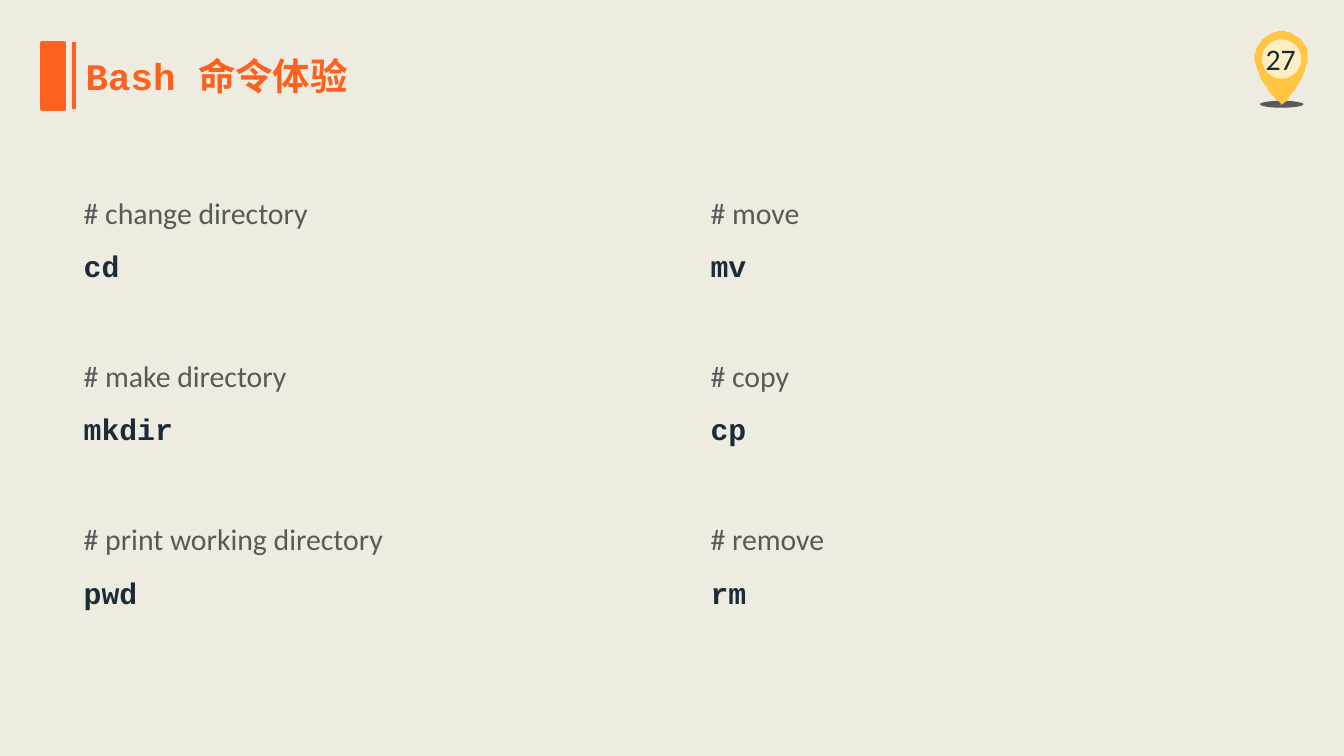
from dataclasses import dataclass
from typing import Any, NamedTuple

from lxml.etree import SubElement
from pptx import Presentation
from pptx.dml.color import RGBColor
from pptx.enum.shapes import MSO_CONNECTOR, MSO_SHAPE
from pptx.enum.text import MSO_ANCHOR, MSO_AUTO_SIZE, PP_ALIGN
from pptx.oxml.ns import qn
from pptx.util import Pt


@dataclass(frozen=True)
class Theme:
    background: str = "EEECE1"
    accent: str = "FC611F"
    comment: str = "595959"
    command: str = "1C2B38"
    number: str = "152C34"
    pin: str = "FFC543"
    pin_shadow: str = "595959"
    pin_hole: str = "FFFFFF"
    sans: str = "Calibri"
    mono: str = "Courier New"
    title_size: float = 26.7
    body_size: float = 21.3


class Box(NamedTuple):
    left: float
    top: float
    width: float
    height: float


class Command(NamedTuple):
    comment: str
    name: str


@dataclass(frozen=True)
class Column:
    box: Box
    commands: tuple[Command, ...]


THEME = Theme()
COLUMNS = (
    Column(Box(52.6, 122.4, 416, 317.5), (
        Command("# change directory", "cd"),
        Command("# make directory", "mkdir"),
        Command("# print working directory", "pwd"),
    )),
    Column(Box(500.4, 122.4, 416, 317.5), (
        Command("# move", "mv"),
        Command("# copy", "cp"),
        Command("# remove", "rm"),
    )),
)
GROUP_GAP = 40

PIN_START = (934.5, 41)
PIN_CURVES = (
    ((934.5, 30.7), (925.9, 22.3), (915.4, 22.3)),
    ((905, 22.3), (896.4, 30.7), (896.4, 41)),
    ((896.4, 41.8), (896.4, 42.5), (896.4, 43.2)),
    ((897.8, 58.3), (915.4, 74.9), (915.4, 74.9)),
    ((927.4, 63.4), (931.7, 52.6), (933.1, 46.8)),
    ((933.8, 45.4), (934.5, 43), (934.5, 41)),
)


def set_attrs(obj: Any, values: dict[str, Any]) -> None:
    for name, value in values.items():
        setattr(obj, name, value)


def place(sp: Any, box: Box) -> None:
    set_attrs(sp, {name: Pt(value) for name, value in box._asdict().items()})


def add_run(p: Any, text: str, font: str, size: float, color: str, bold: bool = False) -> None:
    r = p.add_run()
    r.text = text
    set_attrs(r.font, {"name": font, "size": Pt(size), "bold": bold})
    r.font.color.rgb = RGBColor.from_string(color)


def paint(sp: Any, fill: str, line_width: float = 0) -> None:
    """Fill a shape flat, with an outline of the same colour if it has a width."""
    sp.shadow.inherit = False
    sp.fill.solid()
    sp.fill.fore_color.rgb = RGBColor.from_string(fill)
    if line_width:
        sp.line.color.rgb = RGBColor.from_string(fill)
        sp.line.width = Pt(line_width)
    else:
        sp.line.fill.background()


def add_shape(s: Any, kind: MSO_SHAPE, box: Box, fill: str, line_width: float = 0) -> Any:
    sp = s.shapes.add_shape(kind, *map(Pt, box))
    paint(sp, fill, line_width)
    return sp


def curve_points(start: tuple, curves: tuple, steps: int = 16) -> list[tuple]:
    """Sample a chain of cubic Bezier curves."""
    points = []
    for curve in curves:
        for i in range(1, steps + 1):
            t = i / steps
            weights = ((1 - t) ** 3, 3 * t * (1 - t) ** 2, 3 * t * t * (1 - t), t ** 3)
            points.append(tuple(
                sum(w * c for w, c in zip(weights, axis)) for axis in zip(start, *curve)
            ))
        start = curve[-1]
    return points


def add_page_pin(s: Any, number: str) -> None:
    add_shape(s, MSO_SHAPE.OVAL, Box(900, 72, 31, 5), THEME.pin_shadow)

    builder = s.shapes.build_freeform(*PIN_START, scale=Pt(1))
    builder.add_line_segments(curve_points(PIN_START, PIN_CURVES), close=True)
    paint(builder.convert_to_shape(), THEME.pin)

    hole = add_shape(s, MSO_SHAPE.OVAL, Box(901.4, 28.1, 28.1, 28.1), THEME.pin_hole)
    color = hole.fill._xPr.find(qn("a:solidFill"))[0]
    SubElement(color, qn("a:alpha"), val="69000")

    tf = s.shapes.add_textbox(*map(Pt, Box(802.8, 27.4, 223.9, 28.8))).text_frame
    set_attrs(tf, {"word_wrap": True, "vertical_anchor": MSO_ANCHOR.MIDDLE})
    p = tf.paragraphs[0]
    p.alignment = PP_ALIGN.CENTER
    add_run(p, number, THEME.sans, THEME.body_size, THEME.number)


def add_title(s: Any, text: str) -> None:
    add_shape(s, MSO_SHAPE.RECTANGLE, Box(29.5, 30.2, 16.6, 48.2), THEME.accent, 2)
    bar = s.shapes.add_connector(MSO_CONNECTOR.STRAIGHT, *map(Pt, (52.6, 30.2, 52.6, 77.8)))
    bar.line.color.rgb = RGBColor.from_string(THEME.accent)
    bar.line.width = Pt(3)
    SubElement(bar._element.spPr, qn("a:effectLst"))

    title = s.shapes.title
    place(title, Box(54, 34.6, 222.5, 39.6))
    tf = title.text_frame
    set_attrs(tf, {"word_wrap": True, "auto_size": MSO_AUTO_SIZE.NONE,
                   "vertical_anchor": MSO_ANCHOR.TOP})
    p = tf.paragraphs[0]
    p.alignment = PP_ALIGN.LEFT
    add_run(p, text, THEME.mono, THEME.title_size, THEME.accent, True)


def fill_column(sp: Any, column: Column) -> None:
    place(sp, column.box)
    tf = sp.text_frame
    set_attrs(tf, {"word_wrap": True, "auto_size": MSO_AUTO_SIZE.NONE,
                   "vertical_anchor": MSO_ANCHOR.TOP})
    for i, command in enumerate(column.commands):
        lines = (
            (command.comment, THEME.sans, THEME.comment, False, GROUP_GAP if i else 0),
            (command.name, THEME.mono, THEME.command, True, 0),
        )
        for text, font, color, bold, gap in lines:
            p = tf.add_paragraph() if tf.paragraphs[0].runs else tf.paragraphs[0]
            pPr = p._p.get_or_add_pPr()
            pPr.set("marL", "0")
            pPr.set("indent", "0")
            SubElement(pPr, qn("a:buNone"))
            set_attrs(p, {"alignment": PP_ALIGN.JUSTIFY, "line_spacing": 1.5,
                          "space_before": Pt(gap), "space_after": Pt(0)})
            add_run(p, text, font, THEME.body_size, color, bold)


def main() -> None:
    prs = Presentation()
    set_attrs(prs, {"slide_width": Pt(960), "slide_height": Pt(540)})
    s = prs.slides.add_slide(prs.slide_layouts.get_by_name("Two Content"))
    s.background.fill.solid()
    s.background.fill.fore_color.rgb = RGBColor.from_string(THEME.background)

    add_page_pin(s, "27")
    add_title(s, "Bash 命令体验")
    for idx, column in enumerate(COLUMNS, start=1):
        fill_column(s.placeholders[idx], column)
    prs.save("out.pptx")


if __name__ == "__main__":
    main()
